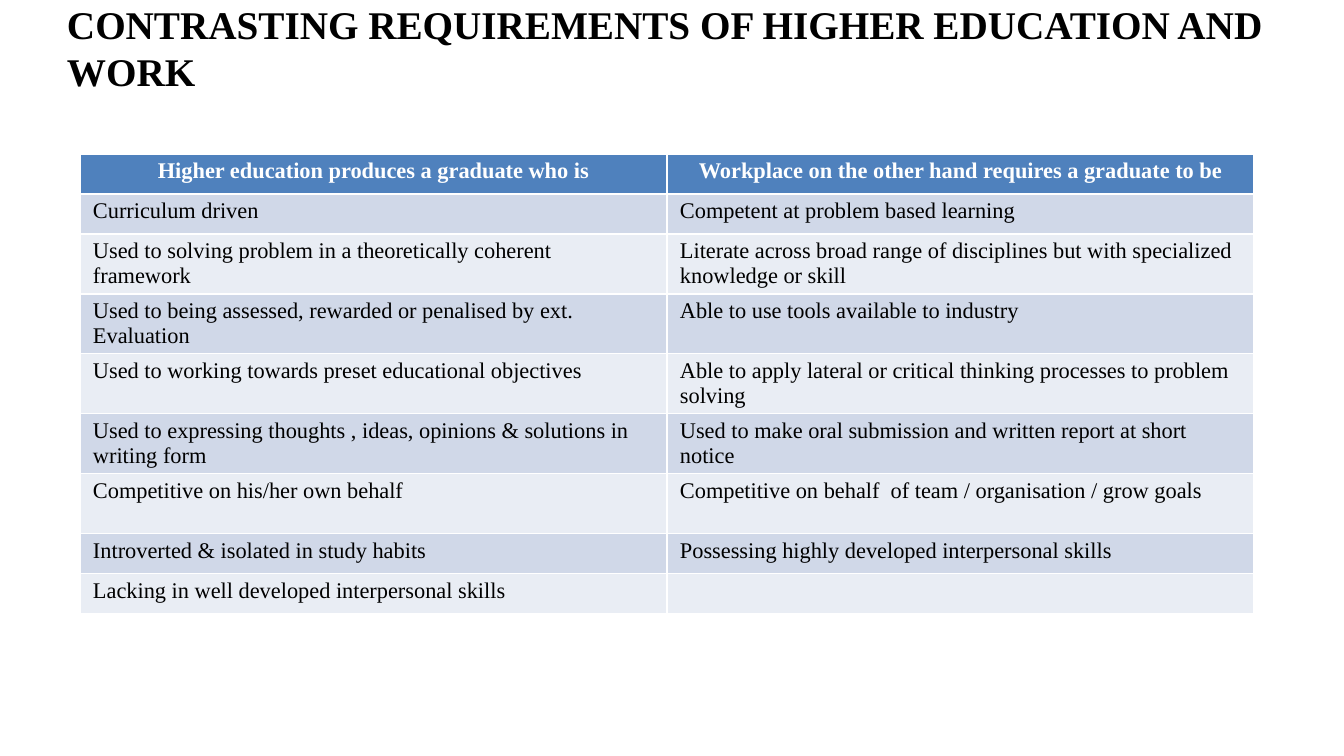
from pptx import Presentation
from pptx.dml.color import RGBColor
from pptx.enum.text import MSO_ANCHOR, MSO_AUTO_SIZE, PP_ALIGN
from pptx.util import Pt

EMU_PER_PX = 914400 / 100.8
HEADER_FILL, BANDS = "4F81BD", ("E9EDF4", "D0D8E8")
TITLE = "CONTRASTING REQUIREMENTS OF HIGHER EDUCATION AND WORK"
ROWS = [
    ("Higher education produces a graduate who is",
     "Workplace on the other hand requires a graduate to be"),
    ("Curriculum driven", "Competent at problem based learning"),
    ("Used to solving problem in a theoretically coherent framework",
     "Literate across broad range of disciplines but with specialized knowledge or skill"),
    ("Used to being assessed, rewarded or penalised by ext. Evaluation",
     "Able to use tools available to industry"),
    ("Used to working towards preset educational objectives",
     "Able to apply lateral or critical thinking processes to problem solving"),
    ("Used to expressing thoughts , ideas, opinions & solutions in writing form",
     "Used to make oral submission and written report at short notice"),
    ("Competitive on his/her own behalf",
     "Competitive on behalf  of team / organisation / grow goals"),
    ("Introverted & isolated in study habits",
     "Possessing highly developed interpersonal skills"),
    ("Lacking in well developed interpersonal skills", ""),
]
ONE_LINE, TWO_LINES = 40, 60
ROW_HEIGHTS = [ONE_LINE] * 2 + [TWO_LINES] * 5 + [ONE_LINE] * 2


def px(n):
    """Turn pixels into EMU."""
    return round(n * EMU_PER_PX)


def color(code):
    """Turn a hex string into a colour."""
    return RGBColor.from_string(code)


def assign(obj, values):
    """Set attributes from a dict of format values."""
    for name, value in values.items():
        setattr(obj, name, value)


class SlideBuilder:
    """Hold the text style and the current slide."""

    font = "Times New Roman"

    def __init__(self, prs):
        """Add a title-only slide."""
        self.s = prs.slides.add_slide(prs.slide_layouts[5])

    def put_text(self, tf, text, size, bold=False, code="000000", align=PP_ALIGN.LEFT):
        """Put one formatted paragraph into a text frame."""
        p = tf.paragraphs[0]
        p.alignment = align
        if not text:
            p.font.size = Pt(size)
            return
        r = p.add_run()
        r.text = text
        assign(r.font, {"name": self.font, "size": Pt(size), "bold": bold})
        r.font.color.rgb = color(code)

    def title(self, text, left, top, width, height):
        """Place and fill the title placeholder."""
        sp = self.s.shapes.title
        assign(sp, {"left": px(left), "top": px(top),
                    "width": px(width), "height": px(height)})
        tf = sp.text_frame
        assign(tf, {"margin_left": 0, "margin_top": 0, "margin_right": 0,
                    "margin_bottom": 0, "word_wrap": True,
                    "auto_size": MSO_AUTO_SIZE.NONE,
                    "vertical_anchor": MSO_ANCHOR.TOP})
        self.put_text(tf, text, 28, bold=True)

    def table(self, rows, heights, left, top, column_width):
        """Add a table with a header row and banded body rows."""
        columns = len(rows[0])
        table = self.s.shapes.add_table(
            len(rows), columns, px(left), px(top),
            px(column_width * columns), px(sum(heights))).table
        for column in table.columns:
            column.width = px(column_width)
        for i, (texts, height) in enumerate(zip(rows, heights)):
            table.rows[i].height = px(height)
            fill = BANDS[i % 2] if i else HEADER_FILL
            style = {} if i else {"bold": True, "code": "FFFFFF",
                                  "align": PP_ALIGN.CENTER}
            for cell, text in zip(table.rows[i].cells, texts):
                assign(cell, {"margin_left": px(13), "margin_right": px(13),
                              "margin_top": px(5), "margin_bottom": px(5)})
                cell.fill.solid()
                cell.fill.fore_color.rgb = color(fill)
                self.put_text(cell.text_frame, text, 16, **style)


prs = Presentation()
assign(prs, {"slide_width": px(1344), "slide_height": px(756)})
slide = SlideBuilder(prs)
slide.title(TITLE, 67, 0, 1210, 156)
slide.table(ROWS, ROW_HEIGHTS, 80, 154, 587)
prs.save("out.pptx")
